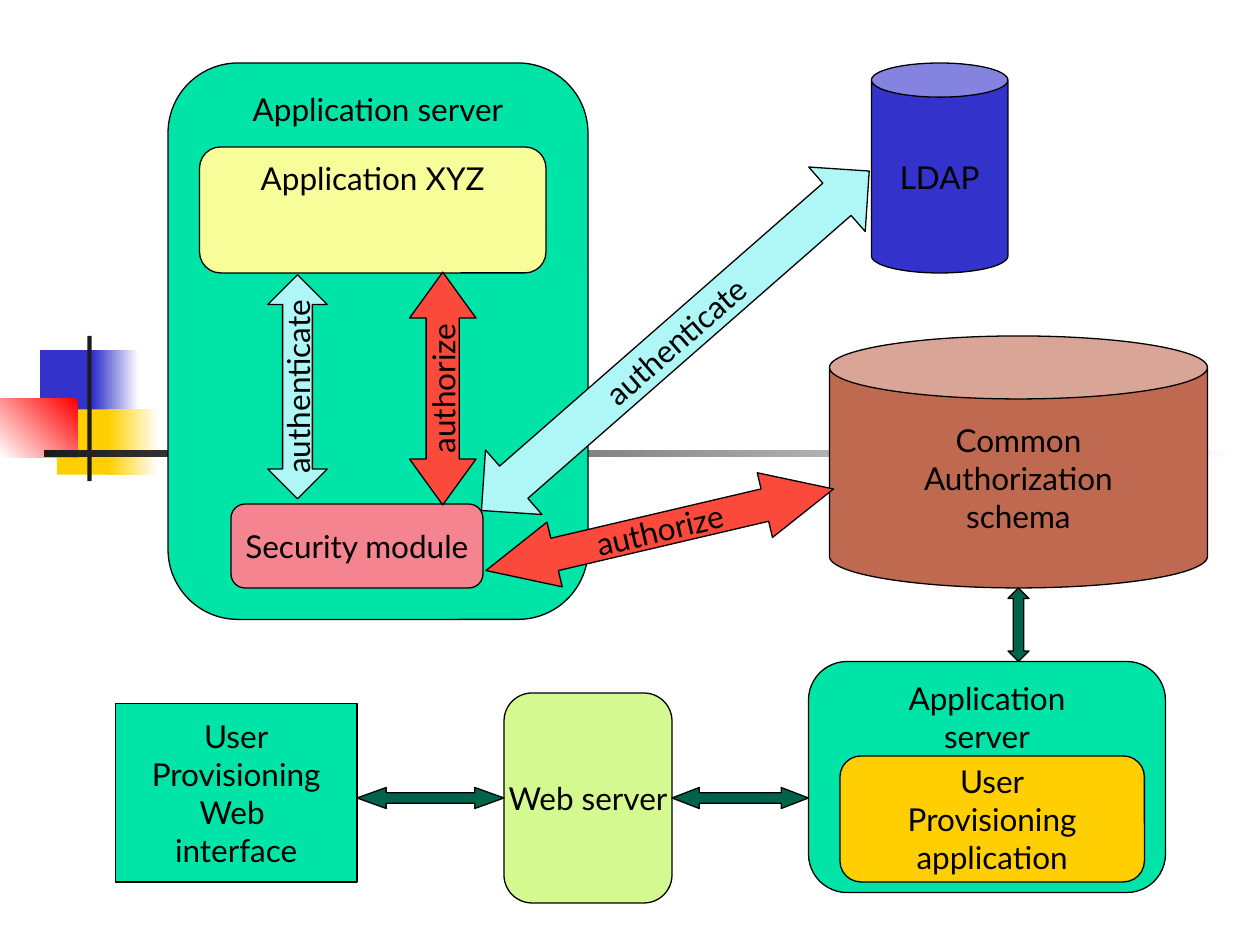
from pptx import Presentation
from pptx.dml.color import RGBColor
from pptx.enum.shapes import MSO_SHAPE
from pptx.enum.text import MSO_ANCHOR, PP_ALIGN
from pptx.util import Pt

THEME = {
    "font": "Lato", "text_size": 18, "line_width": 0.75,
    "black": "000000", "white": "FFFFFF", "charcoal": "1C1C1C",
    "blue": "3333CC", "gold": "FFCF01", "red": "FF0000",
    "green": "00E4A8", "dark_green": "00644A", "lime": "D4F991",
    "yellow": "F6FD99", "pink": "F4848F", "brown": "BF6951",
    "aqua": "AFF7F7", "coral": "FB493B",
}


def color(name):
    return RGBColor.from_string(THEME[name])


def add_block(kind, box, fill, text="", anchor=MSO_ANCHOR.MIDDLE, outlined=True):
    """Add a preset shape; a pair of fill names makes a gradient."""
    shape = slide.shapes.add_shape(kind, *[Pt(length) for length in box])
    shape.shadow.inherit = False
    if isinstance(fill, tuple):
        shape.fill.gradient()
        for stop, name in zip(shape.fill.gradient_stops, fill):
            stop.color.rgb = color(name)
    else:
        shape.fill.solid()
        shape.fill.fore_color.rgb = color(fill)
    if outlined:
        shape.line.color.rgb = color("black")
        shape.line.width = Pt(THEME["line_width"])
    else:
        shape.line.fill.background()
    if text:
        frame = shape.text_frame
        frame.text = text
        frame.word_wrap = False
        frame.vertical_anchor = anchor
        font_format = {"name": THEME["font"], "size": Pt(THEME["text_size"])}
        for paragraph in frame.paragraphs:
            paragraph.alignment = PP_ALIGN.CENTER
            paragraph.font.color.rgb = color("black")
            for attribute, value in font_format.items():
                setattr(paragraph.font, attribute, value)
    return shape


presentation = Presentation()
presentation.slide_width, presentation.slide_height = Pt(720), Pt(540)
slide = presentation.slides.add_slide(presentation.slide_layouts[6])

# Decorative squares and crossing bars: box, fill, gradient angle
decorations = [
    ((23, 200, 34.5, 37.5), "blue", None),
    ((53.3, 200, 26, 37.5), ("white", "blue"), 180),
    ((32.5, 234, 33, 37.3), "gold", None),
    ((62, 234, 28.5, 37.3), ("white", "gold"), 180),
    ((0, 228, 44.2, 33.3), ("red", "white"), 225),
    ((49.9, 192, 2.5, 83), "charcoal", None),
    ((25.2, 257, 685, 4.3), ("white", "charcoal"), 180),
]
for box, fill, angle in decorations:
    square = add_block(MSO_SHAPE.RECTANGLE, box, fill, outlined=False)
    if angle is not None:
        square.fill.gradient_angle = angle

# Servers, stores and modules
ROUNDED, CAN = MSO_SHAPE.ROUNDED_RECTANGLE, MSO_SHAPE.CAN
TOP, MIDDLE = MSO_ANCHOR.TOP, MSO_ANCHOR.MIDDLE
components = [
    (ROUNDED, (96, 36, 240, 318), "green", "Application server", TOP),
    (CAN, (498, 36, 78, 120), "blue", "LDAP", MIDDLE),
    (CAN, (474, 192, 216, 144), "brown", "Common\nAuthorization\nschema", MIDDLE),
    (ROUNDED, (462, 378, 204, 132), "green", "Application\nserver", TOP),
    (ROUNDED, (288, 396, 96, 120), "lime", "Web server", MIDDLE),
    (MSO_SHAPE.RECTANGLE, (66, 402, 138, 102), "green",
     "User\nProvisioning\nWeb \ninterface", MIDDLE),
    (ROUNDED, (480, 432, 174, 72), "gold", "User\nProvisioning\napplication", MIDDLE),
    (ROUNDED, (114, 84, 198, 72), "yellow", "Application XYZ", TOP),
    (ROUNDED, (132, 288, 144, 48), "pink", "Security module", MIDDLE),
]
for component in components:
    add_block(*component)

# Double arrows: kind, box, fill, label, rotation, head length
ACROSS, UPRIGHT = MSO_SHAPE.LEFT_RIGHT_ARROW, MSO_SHAPE.UP_DOWN_ARROW
SHAFT_WIDTH = 0.5
arrows = [
    (UPRIGHT, (153, 157, 34, 128), "aqua", "authenticate", 0, 0.75),
    (ACROSS, (186.5, 203, 133, 38), "coral", "authorize", 270, 0.69),
    (ACROSS, (275, 283.7, 204, 38), "coral", "authorize", 346.8, 1.06),
    (UPRIGHT, (361.4, 47.5, 49, 294.5), "aqua", "authenticate", 48.8, 1.2),
    (ACROSS, (204, 450, 84, 12), "dark_green", "", 0, 1.39),
    (ACROSS, (384, 450, 78, 12), "dark_green", "", 0, 1.3),
    (UPRIGHT, (576, 336, 12, 42), "dark_green", "", 0, 0.7),
]
for kind, box, fill, label, rotation, head_length in arrows:
    arrow = add_block(kind, box, fill, label)
    arrow.rotation = rotation
    # The upright arrow lists its head length before its shaft width
    head, shaft = (0, 1) if kind == UPRIGHT else (1, 0)
    arrow.adjustments[head] = head_length
    arrow.adjustments[shaft] = SHAFT_WIDTH
    if label and kind == UPRIGHT:
        # Upright labels read from bottom to top
        arrow.text_frame._txBody.bodyPr.set("vert", "vert270")

presentation.save("out.pptx")
